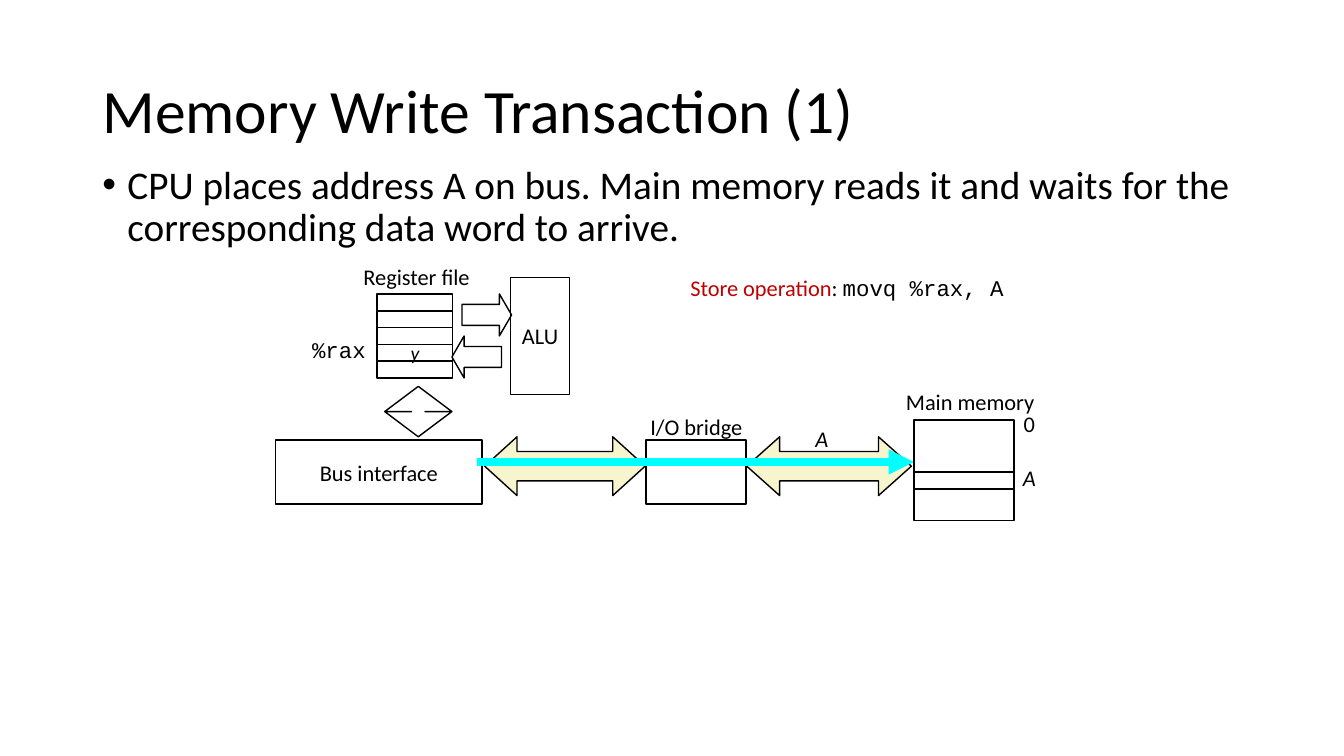
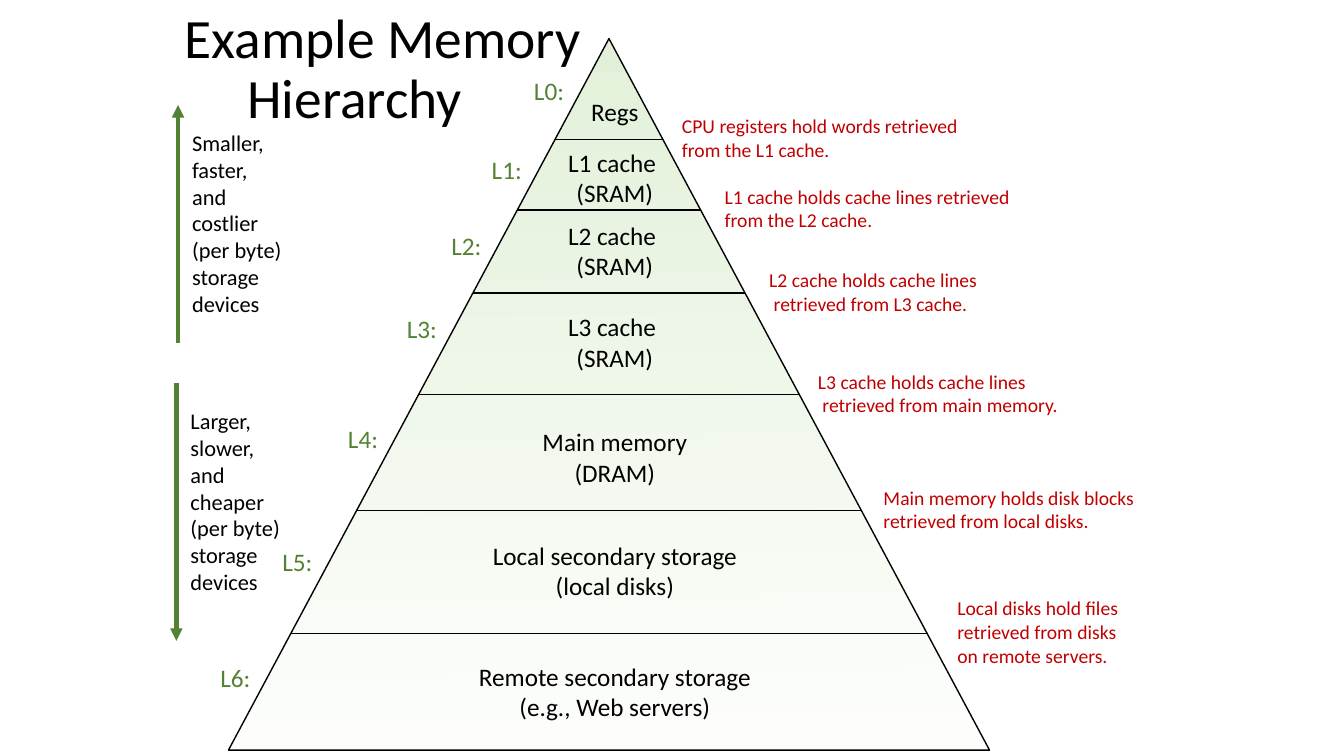
from dataclasses import dataclass

from lxml import etree
from pptx import Presentation
from pptx import util as u
from pptx.dml.color import RGBColor
from pptx.enum import shapes, text as t
from pptx.oxml import ns

# Shared look
BLACK = RGBColor(0x00, 0x00, 0x00)
WHITE = RGBColor(0xFF, 0xFF, 0xFF)
RED = RGBColor(0xC0, 0x00, 0x00)
GREEN = RGBColor(0x54, 0x82, 0x35)
PALE_GREEN = RGBColor(0xE2, 0xF0, 0xD9)
FAINT_GREEN = RGBColor(0xFD, 0xFE, 0xFC)
CREAM = RGBColor(0xF7, 0xF5, 0xCD)
CYAN = RGBColor(0x00, 0xFF, 0xFF)
SANS, MONO = "Calibri", "Courier New"

# The slide is a grid of 160 columns by 90 rows of square cells
COLUMNS, ROWS = 160, 90
CELL = u.Inches(7.5) / ROWS
LABEL_ROWS = 4.4

SHAPE = shapes.MSO_SHAPE
LEFT, CENTER = t.PP_ALIGN.LEFT, t.PP_ALIGN.CENTER
MIDDLE, TOP = t.MSO_ANCHOR.MIDDLE, t.MSO_ANCHOR.TOP


def cells(count):
    return u.Emu(round(count * CELL))


@dataclass
class Box:
    """An area of the slide, measured in cells."""
    left: float
    top: float
    width: float
    height: float

    def inner(self, left, top, width, height):
        return Box(self.left + left, self.top + top, width, height)

    def lengths(self):
        return [cells(n) for n in (self.left, self.top, self.width, self.height)]


def add_xml(parent, tag, **attributes):
    return etree.SubElement(parent, ns.qn(tag), **attributes)


def write(frame, text, size=16, color=BLACK, font=SANS, italic=False, align=CENTER,
          anchor=MIDDLE, wrap=False, spacing=None, before=None, hang=0, bullet=None):
    """Text is a string (one paragraph a line) or a list of (text, format) spans."""
    frame.word_wrap, frame.vertical_anchor = wrap, anchor
    frame.auto_size = t.MSO_AUTO_SIZE.NONE
    lines = [[(line, {})] for line in text.split("\n")] if isinstance(text, str) else [text]
    for index, spans in enumerate(lines):
        para = frame.add_paragraph() if index else frame.paragraphs[0]
        para.alignment = align
        if spacing:
            para.line_spacing = spacing
        if before:
            para.space_before = u.Pt(before)
        properties = para._p.get_or_add_pPr()
        if hang:
            properties.set("marL", str(u.Inches(hang)))
            properties.set("indent", str(-u.Inches(hang)))
        if bullet:
            add_xml(properties, "a:buFont", typeface="Arial")
            add_xml(properties, "a:buChar", char=bullet)
        for words, own in spans:
            for number, piece in enumerate(words.split("\v")):
                if number:
                    para.add_line_break()
                span = para.add_run()
                span.text = piece
                span.font.size = u.Pt(size)
                span.font.name = own.get("font", font)
                span.font.italic = italic
                span.font.color.rgb = own.get("color", color)


def add_label(page, box, text, **style):
    write(page.shapes.add_textbox(*box.lengths()).text_frame, text, **style)


def add_part(page, kind, box, fill=None, adjust=(), text=None, **style):
    part = page.shapes.add_shape(kind, *box.lengths())
    part.shadow.inherit = False
    part.line.color.rgb, part.line.width = BLACK, u.Pt(1)
    if fill:
        part.fill.solid()
        part.fill.fore_color.rgb = fill
    else:
        part.fill.background()
    for index, value in enumerate(adjust):
        part.adjustments[index] = value
    if text:
        write(part.text_frame, text, **style)
    return part


def add_line(page, start, end, color=BLACK, width=1, arrow=False):
    line = page.shapes.add_connector(shapes.MSO_CONNECTOR.STRAIGHT,
                                     *[cells(n) for n in (*start, *end)])
    line.line.color.rgb, line.line.width = color, u.Pt(width)
    if arrow:
        add_xml(line.line._ln, "a:tailEnd", type="triangle")
    add_xml(line._element.spPr, "a:effectLst")


def add_page(deck, title, box, size, **style):
    page = deck.slides.add_slide(deck.slide_layouts[5])
    holder = page.shapes.title
    holder.left, holder.top, holder.width, holder.height = box.lengths()
    write(holder.text_frame, title, size=size, align=LEFT, wrap=True, spacing=0.9, **style)
    return page


# Regions of the transaction slide
def draw_processor(page, box):
    """Register file, ALU and the arrows between them."""
    column, row = 9, 2
    for index in range(5):
        add_part(page, SHAPE.RECTANGLE, box.inner(9, 4.3 + index * row, column, row),
                 text="y" if index == 3 else None, size=14, italic=True)
    add_part(page, SHAPE.RIGHT_ARROW, box.inner(19.1, 4.3, 5.9, 5), adjust=(0.5, 0.29))
    add_part(page, SHAPE.LEFT_ARROW, box.inner(17.9, 9.3, 5.9, 5), adjust=(0.5, 0.29))
    add_part(page, SHAPE.RECTANGLE, box.inner(24.9, 2.3, 7, 14), text="ALU")
    add_part(page, SHAPE.UP_DOWN_ARROW, box.inner(9.9, 15.3, 8, 6), adjust=(0.5, 0.2))
    add_label(page, box.inner(5.9, 0, 15.6, LABEL_ROWS), "Register file")
    add_label(page, box.inner(0, 8.7, 8.9, LABEL_ROWS), "%rax", font=MONO)


def draw_bus(page, box):
    """Bus interface, I/O bridge and the address travelling to memory."""
    for left, width, head in ((24.9, 19.1, 0.55), (56.1, 19.6, 0.56)):
        add_part(page, SHAPE.LEFT_RIGHT_ARROW, box.inner(left, 3.4, width, 7), CREAM, (0.5, head))
    add_part(page, SHAPE.RECTANGLE, box.inner(44.1, 3.8, 11.9, 7.6))
    add_part(page, SHAPE.RECTANGLE, box.inner(0, 3.8, 24.6, 7.6), WHITE, text="Bus interface")
    add_label(page, box.inner(43.2, 0, 13.8, LABEL_ROWS), "I/O bridge")
    wire = box.top + 6.4
    add_line(page, (box.left + 24, wire), (box.left + box.width, wire), CYAN, 6, arrow=True)
    add_label(page, box.inner(63, 1.4, 4.1, LABEL_ROWS), "A", italic=True)


def draw_memory(page, box):
    add_part(page, SHAPE.RECTANGLE, box.inner(2.4, 4.4, 11.9, 12))
    add_part(page, SHAPE.RECTANGLE, box.inner(2.4, 10.6, 12, 2))
    add_label(page, box.inner(0, 0, 18.2, LABEL_ROWS), "Main memory")
    add_label(page, box.inner(14.3, 2.6, 3.8, LABEL_ROWS), "0", align=LEFT)
    add_label(page, box.inner(14.2, 9.1, 4.1, LABEL_ROWS), "A", italic=True, align=LEFT)


def build_transaction(deck):
    page = add_page(deck, "Memory Write Transaction (1)", Box(11, 4.8, 138, 17.4), 44)
    add_label(page, Box(11, 19.1, 138, 61.9),
              "CPU places address A on bus. Main memory reads it and waits for the "
              "corresponding data word to arrive.",
              size=28, align=LEFT, anchor=TOP, wrap=True, spacing=0.9, before=10,
              hang=0.25, bullet="\u2022")
    draw_processor(page, Box(35.9, 30.7, 32, 21.3))
    draw_bus(page, Box(32.8, 48.6, 76, 11.4))
    draw_memory(page, Box(106.4, 45.6, 18.3, 16.4))
    add_label(page, Box(81, 32, 40.7, 7.7),
              [("Store operation", {"color": RED}), (": ", {}), ("movq %rax, A", {"font": MONO})],
              align=LEFT, anchor=TOP)


# Regions of the hierarchy slide
@dataclass
class Level:
    """A storage level; rows are counted from the top of the slide."""
    name: str
    name_row: float
    tag_row: float
    bottom: float
    note: str = ""
    note_left: float = 0
    note_width: float = 0


LEVELS = [
    Level("Regs", 13.3, 10.8, 16.6,
          "CPU registers hold words retrieved from the L1 cache.", 80, 38.3),
    Level("L1 cache \n(SRAM)", 21.1, 20.2, 25,
          "L1 cache holds cache lines retrieved from the L2 cache.", 85.1, 37.2),
    Level("L2 cache \n(SRAM)", 29.8, 29.2, 34.9,
          "L2 cache holds cache lines\n retrieved from L3 cache.", 90.4, 34.6),
    Level("L3 cache \n(SRAM)", 40.7, 39.1, 47,
          "L3 cache holds cache lines\n retrieved from main memory.", 96.2, 37.8),
    Level("Main memory\n(DRAM)", 54.4, 52.2, 60.8,
          "Main memory holds disk blocks retrieved from local disks.", 104, 33.5),
    Level("Local secondary storage\n(local disks)", 67.9, 66.8, 75.4,
          "Local disks hold files retrieved from disks \non remote servers.", 112.8, 27.1),
    Level("Remote secondary storage\n(e.g., Web servers)", 82.3, 80.6, 89.3),
]


def draw_pyramid(page, box):
    pyramid = add_part(page, SHAPE.ISOSCELES_TRIANGLE, box)
    pyramid.fill.gradient()
    pyramid.fill.gradient_angle = 91
    for stop, color in zip(pyramid.fill.gradient_stops, (FAINT_GREEN, PALE_GREEN)):
        stop.color.rgb = color
    middle = box.left + box.width / 2
    tag_width, name_width, name_rows, note_rows = 6.1, 36, 8.5, 6.8

    def half_width(row):
        return (row - box.top) / box.height * box.width / 2

    for index, level in enumerate(LEVELS):
        add_label(page, Box(middle + 0.7 - name_width / 2, level.name_row - name_rows / 2,
                            name_width, name_rows), level.name, size=18)
        # Tags keep an equal distance from the sloping side
        add_label(page, Box(middle - half_width(level.tag_row) - 6.8,
                            level.tag_row - LABEL_ROWS / 2, tag_width, LABEL_ROWS),
                  f"L{index}:", size=18, color=GREEN, align=LEFT)
        if level.note:
            reach = half_width(level.bottom)
            add_line(page, (middle - reach, level.bottom), (middle + reach, level.bottom))
            add_label(page, Box(level.note_left, level.bottom - 0.2 - note_rows / 2,
                                level.note_width, note_rows),
                      level.note, size=14, color=RED, align=LEFT, wrap=True)


def draw_trend(page, box, words, upward):
    """A vertical arrow along the left of the box, its words beside it."""
    ends = [(box.left, box.top), (box.left, box.top + box.height)]
    start, end = reversed(ends) if upward else ends
    add_line(page, start, end, GREEN, 3, arrow=True)
    add_label(page, box.inner(0.5, 2.1, 13.2, 23.9), words, align=LEFT)


def build_hierarchy(deck):
    page = add_page(deck, "Example Memory\vHierarchy", Box(20.8, 3.2, 114.4, 10.3), 39.6, hang=0.62)
    # The hanging indent sets the second line in from the first
    draw_pyramid(page, Box(27.2, 4.6, 90.6, 84.7))
    shared = "(per byte)\nstorage\ndevices"
    draw_trend(page, Box(21.2, 12.5, 14, 28.3),
               f"Smaller,\nfaster,\nand\ncostlier\n{shared}", upward=True)
    draw_trend(page, Box(21, 45.6, 14, 30.7),
               f"Larger,\nslower,\nand\ncheaper\n{shared}", upward=False)


deck = Presentation()
deck.slide_width, deck.slide_height = cells(COLUMNS), cells(ROWS)
build_transaction(deck)
build_hierarchy(deck)
deck.save("out.pptx")
